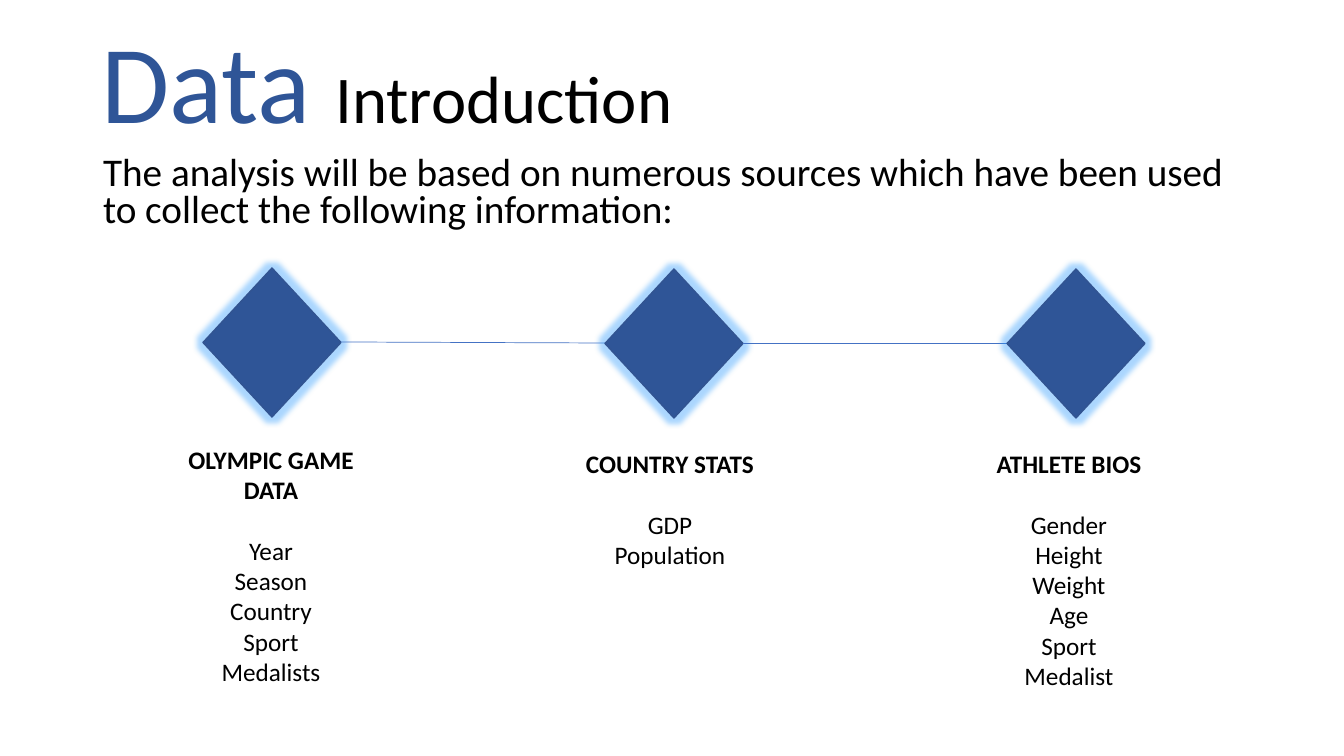
from lxml import etree
from pptx import Presentation
from pptx.dml.color import RGBColor
from pptx.enum.shapes import MSO_CONNECTOR, MSO_SHAPE
from pptx.enum.text import MSO_ANCHOR, MSO_AUTO_SIZE, PP_ALIGN
from pptx.oxml import parse_xml
from pptx.oxml.ns import nsdecls, qn
from pptx.util import Emu, Pt

STRAIGHT = MSO_CONNECTOR.STRAIGHT
DIAMOND = MSO_SHAPE.DIAMOND
LEFT, CENTER = PP_ALIGN.LEFT, PP_ALIGN.CENTER
TOP, MIDDLE = MSO_ANCHOR.TOP, MSO_ANCHOR.MIDDLE
NO_FIT, GROW = MSO_AUTO_SIZE.NONE, MSO_AUTO_SIZE.SHAPE_TO_FIT_TEXT

NAVY = RGBColor(0x2F, 0x55, 0x97)
OUTLINE = RGBColor(0x32, 0x54, 0x91)
LINK_BLUE = RGBColor(0x44, 0x72, 0xC4)
BLACK = RGBColor(0x00, 0x00, 0x00)
GLOW = (
    f'<a:glow {nsdecls("a")} rad="101600"><a:srgbClr val="2D9BFF">'
    '<a:alpha val="40000"/></a:srgbClr></a:glow>'
)

EMU_PER_PX = 914400 / 100.8


def px(*lengths):
    return [Emu(round(length * EMU_PER_PX)) for length in lengths]


def write(paragraph, text, size, color=BLACK, bold=False):
    run = paragraph.add_run()
    run.text = text
    formats = {"name": "Calibri", "size": Pt(size), "bold": bold}
    for attribute, value in formats.items():
        setattr(run.font, attribute, value)
    run.font.color.rgb = color


deck = Presentation()
deck.slide_width, deck.slide_height = px(1344, 756)
slide = deck.slides.add_slide(deck.slide_layouts[1])
title, intro = slide.placeholders

for part, box, anchor, spacing in (
    (title, (91, 15, 1159, 146), MIDDLE, 0.9),
    (intro, (93, 151, 1159, 92), TOP, 0.8),
):
    part.left, part.top, part.width, part.height = px(*box)
    frame = part.text_frame
    frame.word_wrap = True
    frame.auto_size = NO_FIT
    frame.vertical_anchor = anchor
    heading = frame.paragraphs[0]
    heading.alignment = LEFT
    heading.line_spacing = spacing
    heading.space_before = Pt(0)

write(title.text_frame.paragraphs[0], "Data ", 79.2, NAVY)
write(title.text_frame.paragraphs[0], "Introduction", 47.7)

intro_line = intro.text_frame.paragraphs[0]
intro_format = intro_line._p.get_or_add_pPr()
intro_format.set("marL", "0")
intro_format.set("indent", "0")
etree.SubElement(intro_format, qn("a:buNone"))
write(
    intro_line,
    "The analysis will be based on numerous sources which have been used "
    "to collect the following information:",
    28,
)

DIAMOND_LEFT, DIAMOND_STEP = 203, 402
DIAMOND_WIDTH, DIAMOND_HEIGHT = 138, 149
LABEL_LEFT, LABEL_STEP, LABEL_WIDTH = 150, 399, 242

sources = [
    ("OLYMPIC GAME DATA", ["Year", "Season", "Country", "Sport", "Medalists"], 268, 439, 254),
    ("COUNTRY STATS", ["GDP", "Population"], 269, 443, 132),
    ("ATHLETE BIOS", ["Gender", "Height", "Weight", "Age", "Sport", "Medalist"], 269, 443, 254),
]

for column, (source, fields, diamond_top, label_top, label_height) in enumerate(sources):
    left = DIAMOND_LEFT + column * DIAMOND_STEP
    marker = slide.shapes.add_shape(
        DIAMOND, *px(left, diamond_top, DIAMOND_WIDTH, DIAMOND_HEIGHT)
    )
    marker.fill.solid()
    marker.fill.fore_color.rgb = NAVY
    marker.line.color.rgb = OUTLINE
    marker.line.width = Pt(1)
    marker.shadow.inherit = False
    marker._element.spPr.find(qn("a:effectLst")).append(parse_xml(GLOW))

    if column < len(sources) - 1:
        next_top = sources[column + 1][2]
        middle = DIAMOND_HEIGHT // 2
        link = slide.shapes.add_connector(
            STRAIGHT,
            *px(left + DIAMOND_WIDTH, diamond_top + middle, left + DIAMOND_STEP, next_top + middle),
        )
        link.line.color.rgb = LINK_BLUE
        link.line.width = Pt(0.5)
        etree.SubElement(link._element.spPr, qn("a:effectLst"))

    label = slide.shapes.add_textbox(
        *px(LABEL_LEFT + column * LABEL_STEP, label_top, LABEL_WIDTH, label_height)
    )
    label_frame = label.text_frame
    label_frame.word_wrap = True
    label_frame.auto_size = GROW
    source_line = label_frame.paragraphs[0]
    source_line.alignment = CENTER
    write(source_line, source, 18, bold=True)
    for position, field in enumerate(fields):
        field_line = label_frame.add_paragraph()
        field_line.alignment = CENTER
        if position == 0:
            field_line.space_before = Pt(22)
        write(field_line, field, 18)

deck.save("out.pptx")
